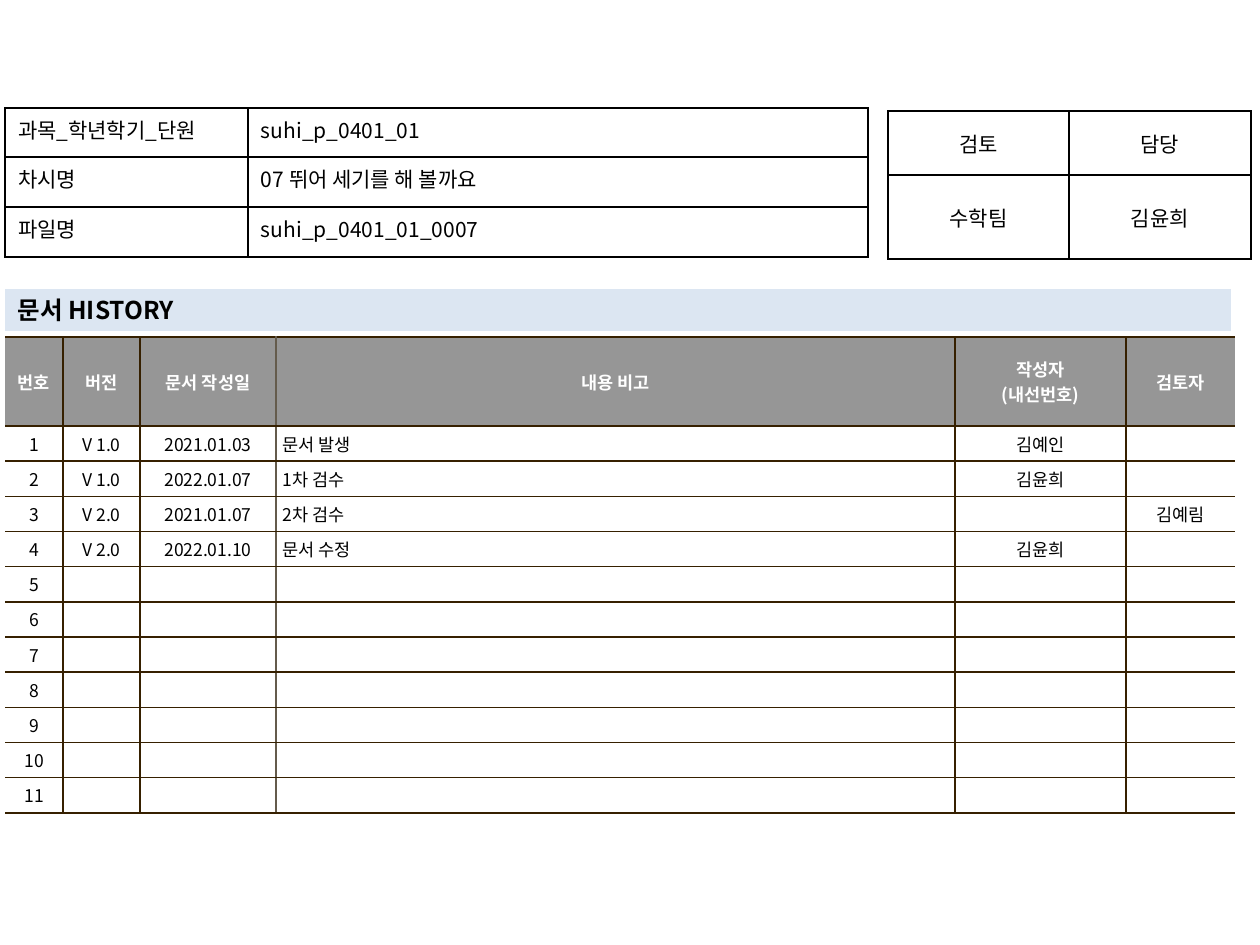
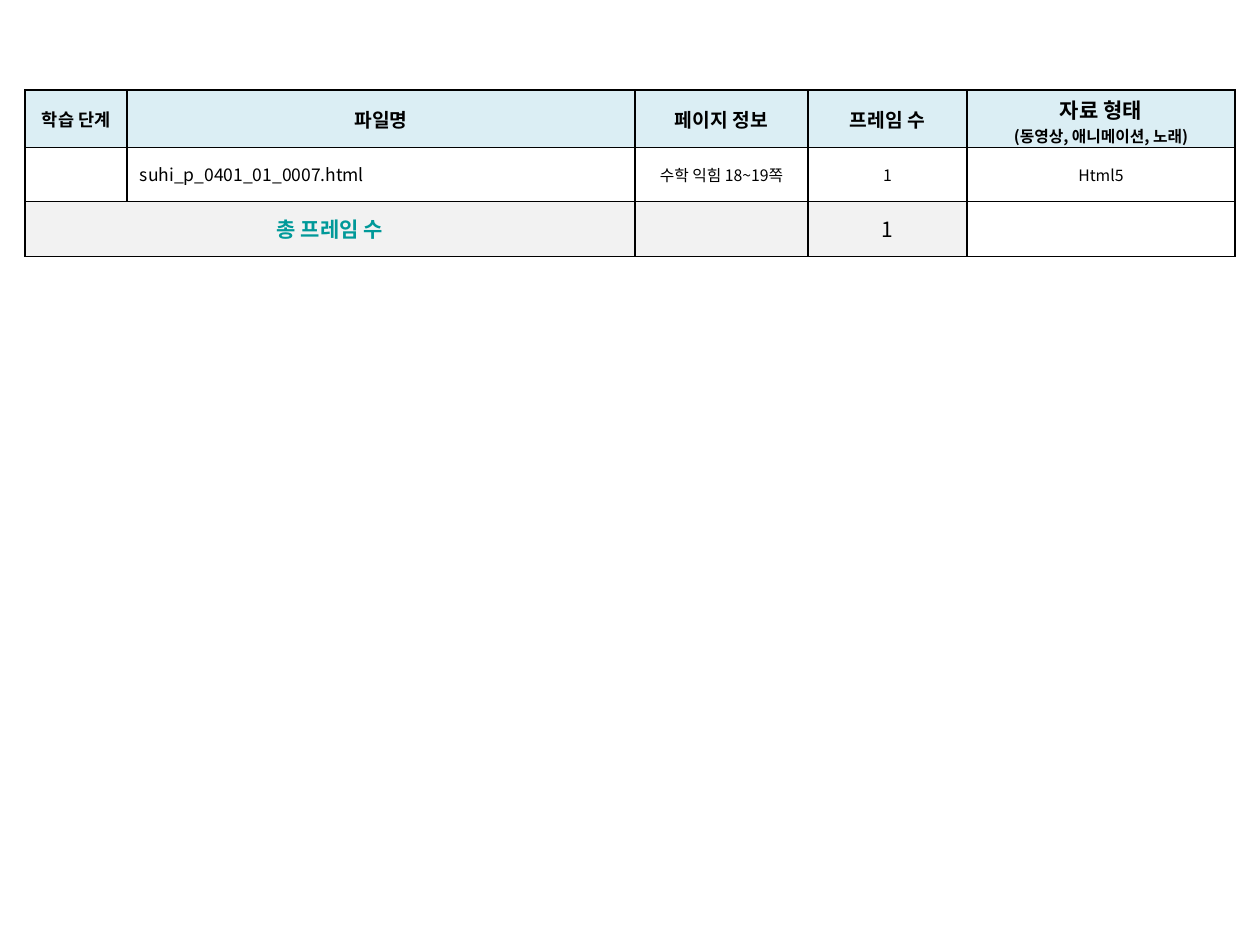
import pptx
import pptx.util
import pptx.dml.color
import pptx.enum.text
import pptx.oxml.ns
import lxml.etree

PX = 914400 / 126
FONT = "Noto Sans CJK KR"
COLORS = {
    "black": "000000", "white": "FFFFFF", "band": "DCE6F2", "gray": "969696",
    "brown": "362000", "taupe": "645B4C", "sky": "DBEEF4", "pale": "F2F2F2", "teal": "009999",
}
ALIGN = pptx.enum.text.PP_ALIGN
ANCHOR = pptx.enum.text.MSO_ANCHOR
LEFT, CENTER = ALIGN.LEFT, ALIGN.CENTER
qn = pptx.oxml.ns.qn


def write(frame, text, size=12, small=None, color="black", bold=False, align=CENTER):
    frame.word_wrap = True
    for number, line in enumerate(text.split("\n")):
        para = frame.add_paragraph() if number else frame.paragraphs[0]
        para.alignment = align
        points = small if number and small else size
        if not line:
            para._p.get_or_add_endParaRPr().set("sz", str(points * 100))
            continue
        span = para.add_run()
        span.text = line
        span.font.size = pptx.util.Pt(points)
        span.font.bold = bold
        span.font.name = FONT
        span.font.color.rgb = pptx.dml.color.RGBColor.from_string(COLORS[color])
        lxml.etree.SubElement(span.font._element, qn("a:ea"), typeface=FONT)


def grid(page, left, top, widths, heights, rows, aligns, looks, line="black",
         size=12, anchor=ANCHOR.MIDDLE, margins=(13, 6), open_sides=False, seam=None):
    bounds = [round(n * PX) for n in (left, top, sum(widths), sum(heights))]
    table = page.shapes.add_table(len(rows), len(widths), *bounds).table
    table.first_row = table.horz_banding = False
    for column, width in zip(table.columns, widths):
        column.width = round(width * PX)
    for r, texts in enumerate(rows):
        table.rows[r].height = round(heights[r] * PX)
        for c, text in enumerate(texts):
            cell = table.cell(r, c)
            look = {"size": size, "align": aligns[c], **looks.get((r, c), {})}
            fill = look.pop("fill", None)
            above, below = look.pop("pad", (margins[1], margins[1]))
            cell.vertical_anchor = anchor
            cell.margin_left = cell.margin_right = round(margins[0] * PX)
            cell.margin_top, cell.margin_bottom = round(above * PX), round(below * PX)
            edges = {"L": c, "R": c + 1, "T": None, "B": None}
            for side, edge in edges.items():
                border = lxml.etree.SubElement(cell._tc.get_or_add_tcPr(), qn("a:ln" + side), w="12700")
                if open_sides and edge in (0, len(widths)):
                    lxml.etree.SubElement(border, qn("a:noFill"))
                    continue
                paint = lxml.etree.SubElement(border, qn("a:solidFill"))
                tone = "taupe" if seam is not None and edge == seam else line
                lxml.etree.SubElement(paint, qn("a:srgbClr"), val=COLORS[tone])
            if fill:
                cell.fill.solid()
                cell.fill.fore_color.rgb = pptx.dml.color.RGBColor.from_string(COLORS[fill])
            else:
                cell.fill.background()
            write(cell.text_frame, text, **look)
    return table


deck = pptx.Presentation()
deck.slide_width = round(1260 * PX)
deck.slide_height = round(945 * PX)

page = deck.slides.add_slide(deck.slide_layouts[5])
band = page.shapes.title
band.left, band.top, band.width, band.height = [round(n * PX) for n in (5, 289, 1226, 42)]
band.fill.solid()
band.fill.fore_color.rgb = pptx.dml.color.RGBColor.from_string(COLORS["band"])
band.text_frame.auto_size = pptx.enum.text.MSO_AUTO_SIZE.NONE
band.text_frame.vertical_anchor = ANCHOR.MIDDLE
write(band.text_frame, "문서 HISTORY", size=14, bold=True, align=LEFT)

lesson = [
    ["과목_학년학기_단원", "suhi_p_0401_01"],
    ["차시명", "07 뛰어 세기를 해 볼까요"],
    ["파일명", "suhi_p_0401_01_0007"],
]
grid(page, 5, 108, [243, 620], [49, 50, 50], lesson, [LEFT, LEFT], {}, anchor=ANCHOR.TOP)

review = [["검토", "담당"], ["수학팀", "김윤희"]]
grid(page, 888, 111, [181, 182], [64, 84], review, [CENTER, CENTER], {})

history = [
    ["번호", "버전", "문서 작성일", "내용 비고", "작성자\n(내선번호)", "검토자"],
    ["1", "V 1.0", "2021.01.03", "문서 발생", "김예인", ""],
    ["2", "V 1.0", "2022.01.07", "1차 검수", "김윤희", ""],
    ["3", "V 2.0", "2021.01.07", "2차 검수", "", "김예림"],
    ["4", "V 2.0", "2022.01.10", "문서 수정", "김윤희", ""],
]
history += [[str(number)] + [""] * 5 for number in range(5, 12)]
history_looks = {(r, c): {"fill": "white"} for r in range(1, 12) for c in range(6)}
for c in range(6):
    history_looks[0, c] = {"fill": "gray", "color": "white", "bold": True, "align": CENTER}
grid(page, 5, 337, [58, 77, 136, 679, 171, 109], [89] + [35] * 11, history,
     [CENTER] * 3 + [LEFT] + [CENTER] * 2, history_looks, line="brown", size=10,
     margins=(7, 5), open_sides=True, seam=3)

page = deck.slides.add_slide(deck.slide_layouts[6])
frames = [
    ["학습 단계", "파일명", "페이지 정보", "프레임 수", "자료 형태\n(동영상, 애니메이션, 노래)"],
    ["", "suhi_p_0401_01_0007.html", "수학 익힘 18~19쪽", "1", "Html5"],
    ["총 프레임 수", "", "", "1", ""],
]
frame_looks = {(0, c): {"fill": "sky", "bold": True, "size": size}
               for c, size in enumerate([10, 11, 11, 11, 12])}
frame_looks[0, 4].update(small=9, pad=(4, 0))
frame_looks[1, 1] = {"size": 10, "align": LEFT}
for c in range(4):
    frame_looks[2, c] = {"fill": "pale", "size": 12}
frame_looks[2, 0].update(color="teal", bold=True)
table = grid(page, 25, 90, [102, 508, 173, 159, 268], [57, 54, 55], frames,
             [CENTER] * 5, frame_looks, size=9)
table.cell(2, 0).merge(table.cell(2, 1))

deck.save("out.pptx")
